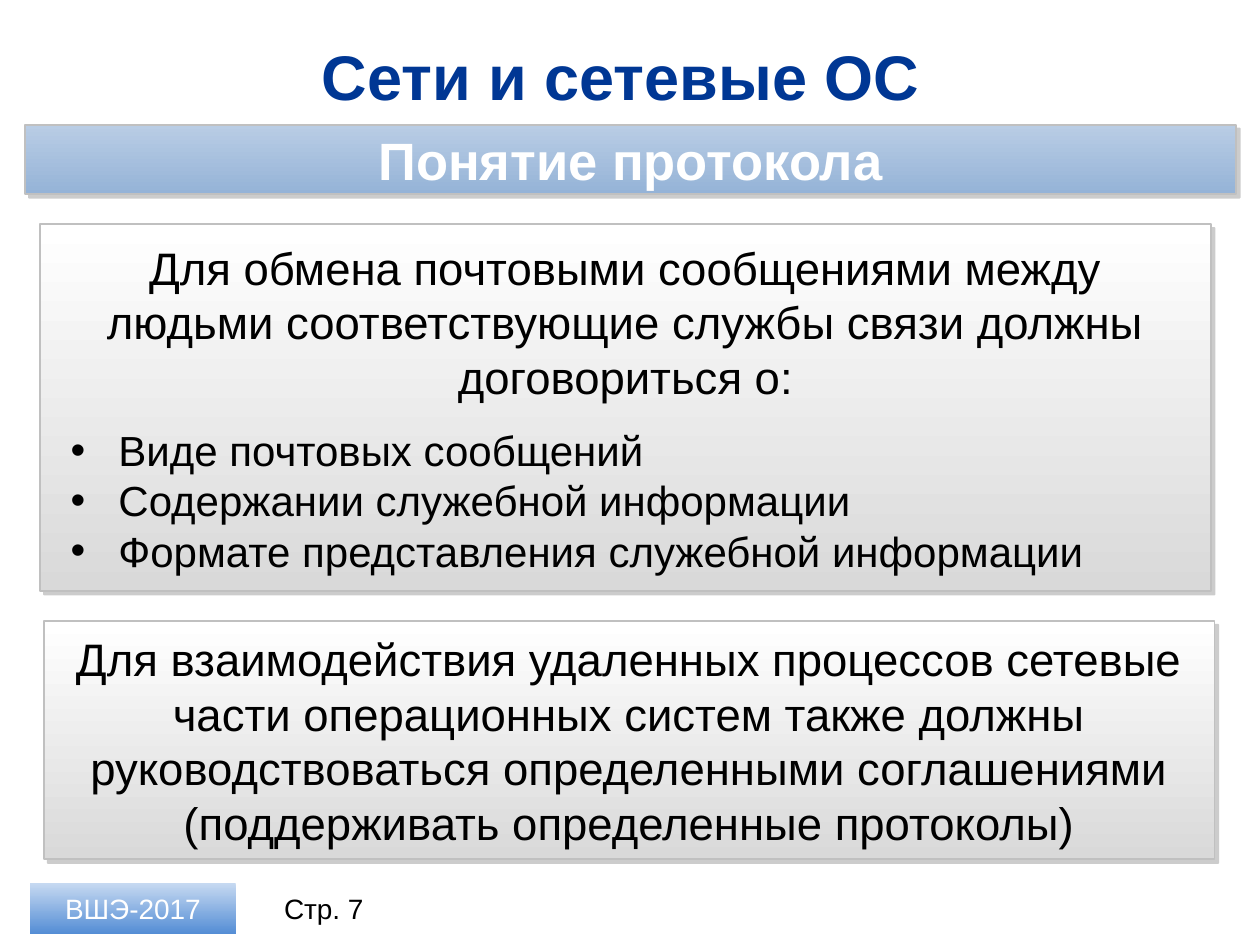
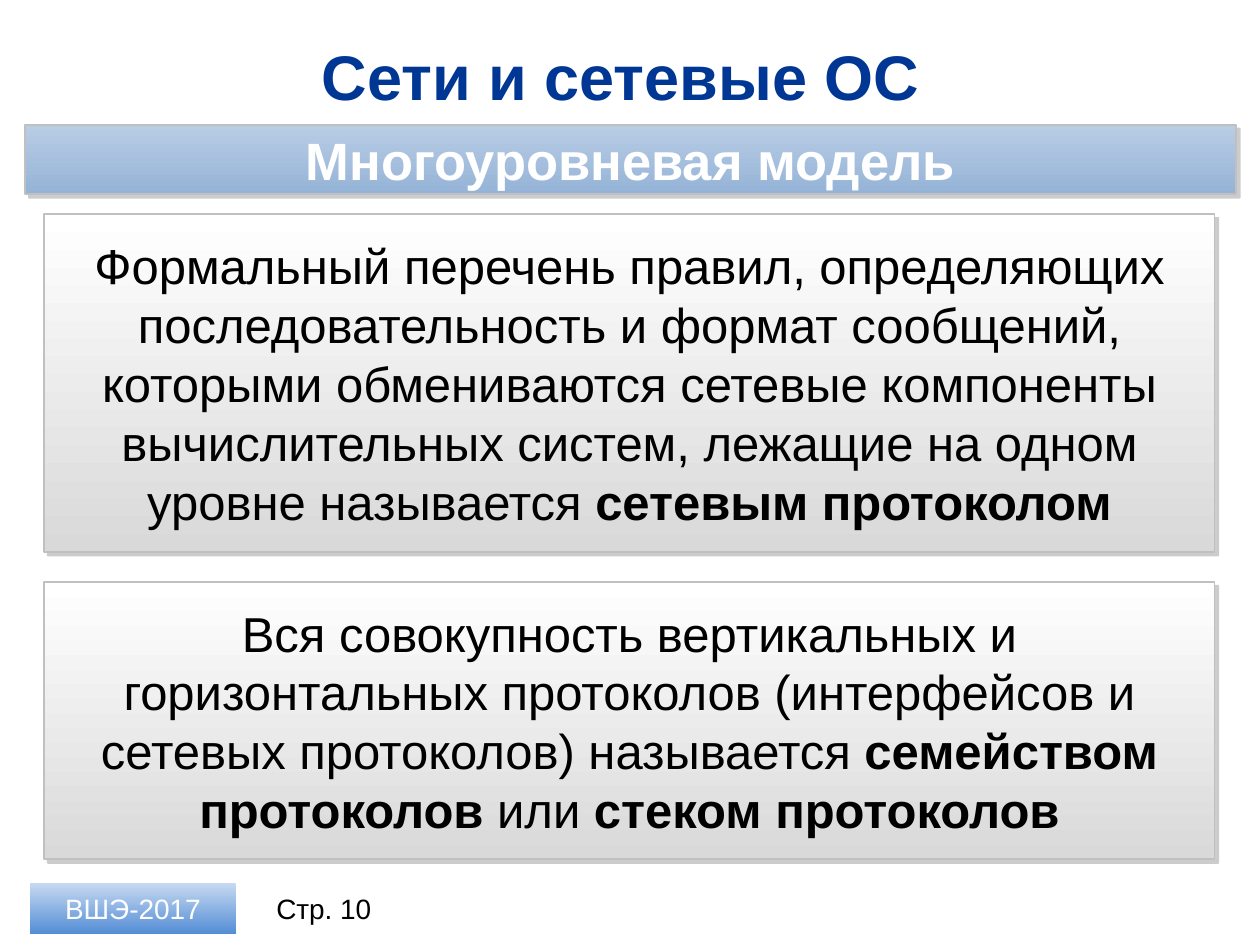
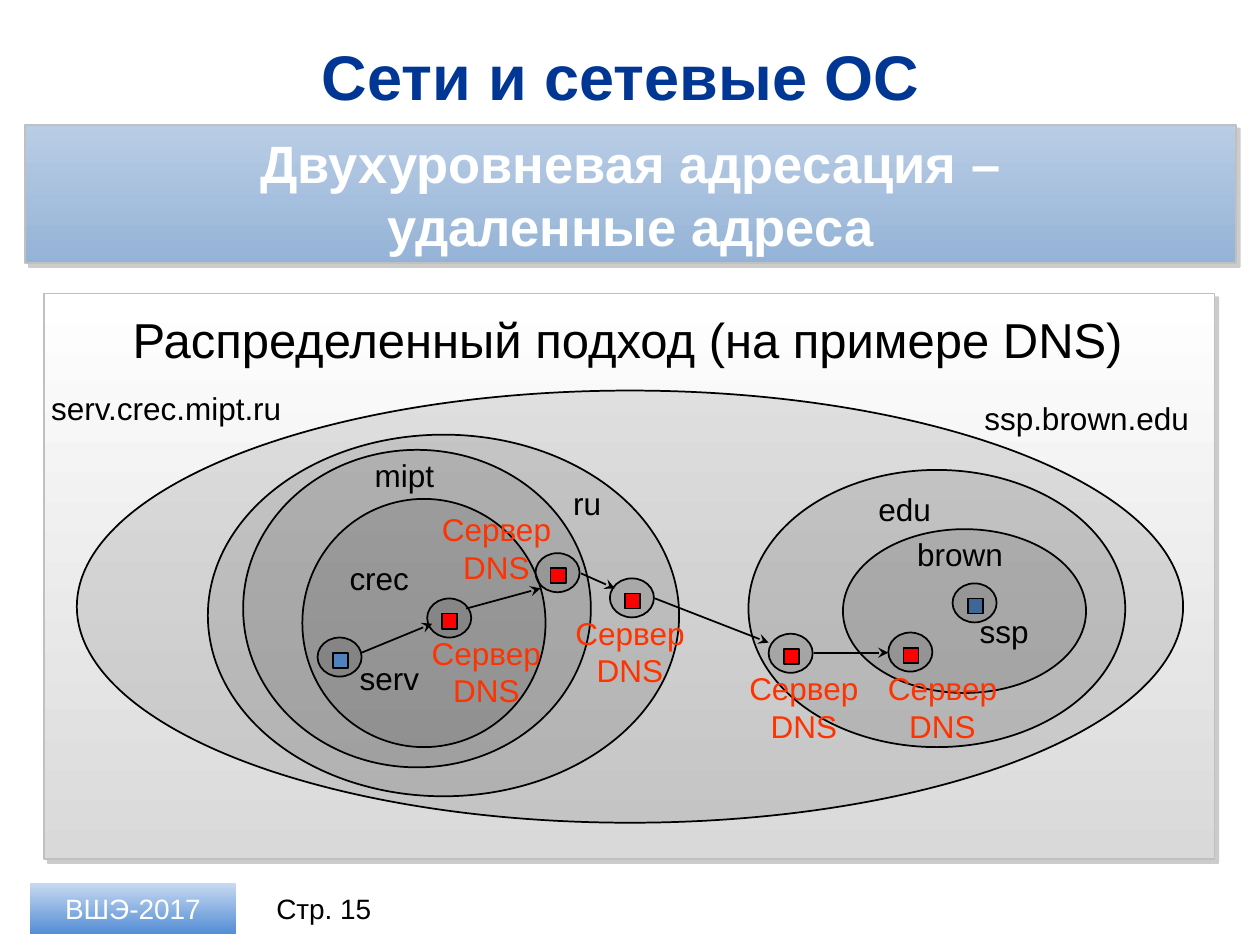
import pptx
import pptx.dml.color
import pptx.enum.shapes
import pptx.enum.text
import pptx.oxml.ns
import pptx.util
from lxml import etree

Inches = pptx.util.Inches
Pt = pptx.util.Pt
RGBColor = pptx.dml.color.RGBColor
Shape = pptx.enum.shapes.MSO_SHAPE
Align = pptx.enum.text.PP_ALIGN
Anchor = pptx.enum.text.MSO_ANCHOR
qn = pptx.oxml.ns.qn

WHITE = RGBColor(0xFF, 0xFF, 0xFF)
BLACK = RGBColor(0x00, 0x00, 0x00)
NAVY = RGBColor(0x00, 0x37, 0x94)
GREY = RGBColor(0xD9, 0xD9, 0xD9)
EDGE = RGBColor(0xC0, 0xC0, 0xC0)
SHADOW = RGBColor(0x80, 0x80, 0x80)
BAND_TOP = RGBColor(0xB9, 0xCD, 0xE5)
BAND_BOTTOM = RGBColor(0x95, 0xB3, 0xD7)
FOOTER_TOP = RGBColor(0xC6, 0xD9, 0xF1)
FOOTER_BOTTOM = RGBColor(0x55, 0x8E, 0xD5)
HOST_BLUE = RGBColor(0x4F, 0x81, 0xBD)
SERVER_RED = RGBColor(0xFF, 0x00, 0x00)
LABEL_RED = RGBColor(0xFF, 0x33, 0x00)

FONT = "Arial"
COURSE = "Сети и сетевые ОС "
ISSUER = "ВШЭ-2017"
PANEL_LEFT, PANEL_WIDTH = 0.35, 9.29

# Positions inside the address map, measured from its top left corner
LEFT_DOMAINS = [(2.05, 1.63, 1.93, 1.97), (1.58, 1.24, 2.76, 2.52),
                (1.3, 1.12, 3.74, 2.87), (0.26, 0.77, 8.78, 3.43)]
RIGHT_DOMAINS = [(6.34, 1.87, 1.93, 1.3), (5.59, 1.4, 2.99, 2.2)]
SERV_HOST, SSP_HOST = (2.17, 2.73), (7.21, 2.3)
DNS_SERVERS = [(3.04, 2.42), (3.9, 2.06), (4.49, 2.26), (5.75, 2.7), (6.7, 2.69)]
DNS_LABELS = [(2.76, 2.65), (2.84, 1.67), (3.9, 2.49), (5.28, 2.93), (6.38, 2.93)]
NAMES = [("serv", 2.25, 2.85, 0.98), ("crec", 2.17, 2.06, 0.98),
         ("mipt", 2.37, 1.24, 0.98), ("ru", 3.82, 1.46, 0.98),
         ("serv.crec.mipt.ru", -0.35, 0.71, 2.64), ("ssp", 7.09, 2.48, 1.06),
         ("brown", 6.78, 1.87, 0.98), ("edu", 6.3, 1.51, 1.06),
         ("ssp.brown.edu", 7.29, 0.79, 1.97)]
QUERY_STEPS = [(2.52, 2.85, 3.08, 2.62), (3.35, 2.5, 3.94, 2.34),
               (4.26, 2.22, 4.53, 2.34), (4.85, 2.42, 5.75, 2.77),
               (6.11, 2.85, 6.7, 2.85)]


def inches(box):
    return [Inches(length) for length in box]


def write(paragraph, pieces, size, color, align=Align.CENTER):
    """Add (text, bold) pieces as runs; a newline piece breaks the line."""
    paragraph.alignment = align
    for text, bold in pieces:
        if text == "\n":
            paragraph.add_line_break()
            continue
        run = paragraph.add_run()
        run.text = text
        run.font.name = FONT
        run.font.size = Pt(size)
        run.font.bold = bold
        run.font.color.rgb = color


def add_label(slide, box, text, size, color=BLACK, bold=False, anchor=Anchor.TOP):
    frame = slide.shapes.add_textbox(*inches(box)).text_frame
    frame.word_wrap = True
    frame.vertical_anchor = anchor
    write(frame.paragraphs[0], [(text, bold)], size, color)


def add_gradient_box(slide, box, top_color, bottom_color):
    block = slide.shapes.add_shape(Shape.RECTANGLE, *inches(box))
    block.shadow.inherit = False
    block.fill.gradient()
    block.fill.gradient_angle = 270
    for stop, color in zip(block.fill.gradient_stops, (top_color, bottom_color)):
        stop.color.rgb = color
    block.line.fill.background()
    block.text_frame.word_wrap = True
    block.text_frame.vertical_anchor = Anchor.MIDDLE
    return block


def add_raised_box(slide, box, top_color, bottom_color):
    """Gradient box with a grey edge, a hard shadow and wide side margins."""
    block = add_gradient_box(slide, box, top_color, bottom_color)
    block.line.color.rgb = EDGE
    block.line.width = Pt(1)
    effects = block._element.spPr.find(qn("a:effectLst"))
    shadow = etree.SubElement(effects, qn("a:outerShdw"), blurRad="0", dist=str(Pt(3)),
                              dir="2700000", algn="tl", rotWithShape="0")
    shade = etree.SubElement(shadow, qn("a:srgbClr"), val=str(SHADOW))
    etree.SubElement(shade, qn("a:alpha"), val="40000")
    frame = block.text_frame
    frame.margin_left = frame.margin_right = Inches(0.24)
    frame.margin_top = frame.margin_bottom = Inches(0.04)
    return frame


def add_panel(slide, top, height, left=PANEL_LEFT):
    return add_raised_box(slide, (left, top, PANEL_WIDTH, height), WHITE, GREY)


def add_statement(slide, top, height, pieces, size):
    write(add_panel(slide, top, height).paragraphs[0], pieces, size, BLACK)


def add_bullet(frame, text, size):
    paragraph = frame.add_paragraph()
    properties = paragraph._p.get_or_add_pPr()
    properties.set("marL", str(Inches(0.38)))
    properties.set("indent", str(Inches(-0.38)))
    bullet_color = etree.SubElement(properties, qn("a:buClr"))
    etree.SubElement(bullet_color, qn("a:srgbClr"), val=str(BLACK))
    etree.SubElement(properties, qn("a:buFont"), typeface=FONT)
    etree.SubElement(properties, qn("a:buChar"), char="•")
    write(paragraph, [(text, False)], size, BLACK, Align.LEFT)
    return paragraph


def add_course_slide(deck, topic_lines, page, band_height=0.55):
    """Blank slide with the course title, topic band and footer."""
    slide = deck.slides.add_slide(deck.slide_layouts[6])
    add_label(slide, (0.35, 0.26, 9.29, 0.68), COURSE, 36, NAVY, True, Anchor.MIDDLE)

    topic = add_raised_box(slide, (0.2, 0.99, 9.61, band_height), BAND_TOP, BAND_BOTTOM)
    pieces = []
    for line in topic_lines:
        if pieces:
            pieces.append(("\n", True))
        pieces.append((line, True))
    write(topic.paragraphs[0], pieces, 30, WHITE)

    issuer = add_gradient_box(slide, (0.24, 7.01, 1.63, 0.4), FOOTER_TOP, FOOTER_BOTTOM)
    write(issuer.text_frame.paragraphs[0], [(ISSUER, False)], 16, WHITE)
    add_label(slide, (2.03, 7.01, 1.08, 0.4), f"Стр. {page}", 16, anchor=Anchor.MIDDLE)
    return slide


def add_outlined(slide, preset, box, color):
    figure = slide.shapes.add_shape(preset, *inches(box))
    figure.shadow.inherit = False
    figure.fill.solid()
    figure.fill.fore_color.rgb = color
    figure.line.color.rgb = BLACK
    figure.line.width = Pt(1)
    return figure


def add_domain(slide, box):
    """Ellipse with a faint black tint, so nested domains grow darker."""
    domain = add_outlined(slide, Shape.OVAL, box, BLACK)
    tint = domain._element.spPr.find(qn("a:solidFill"))[0]
    etree.SubElement(tint, qn("a:alpha"), val="10000")


def add_host(slide, left, top, color):
    add_domain(slide, (left, top, 0.35, 0.31))
    add_outlined(slide, Shape.RECTANGLE, (left + 0.12, top + 0.12, 0.12, 0.12), color)


def add_query_arrow(slide, ends):
    arrow = slide.shapes.add_connector(pptx.enum.shapes.MSO_CONNECTOR.STRAIGHT, *inches(ends))
    arrow.line.color.rgb = BLACK
    arrow.line.width = Pt(1)
    etree.SubElement(arrow.line._get_or_add_ln(), qn("a:tailEnd"), type="stealth")
    etree.SubElement(arrow._element.spPr, qn("a:effectLst"))


def add_address_map(slide, left, top):
    def place(x, y, *size):
        return (left + x, top + y, *size)

    add_label(slide, place(0.08, 0.08, 9.1, 0.57),
              "Распределенный подход (на примере DNS)", 28)
    for domain in LEFT_DOMAINS:
        add_domain(slide, place(*domain))
    add_host(slide, *place(*SERV_HOST), HOST_BLUE)
    add_host(slide, *place(*SSP_HOST), HOST_BLUE)
    for domain in RIGHT_DOMAINS:
        add_domain(slide, place(*domain))
    for server in DNS_SERVERS:
        add_host(slide, *place(*server), SERVER_RED)
    for name, x, y, width in NAMES:
        add_label(slide, place(x, y, width, 0.4), name, 18)
    for x, y in DNS_LABELS:
        add_label(slide, place(x, y, 1.5, 0.71), "Сервер DNS", 18, LABEL_RED)
    for x1, y1, x2, y2 in QUERY_STEPS:
        add_query_arrow(slide, place(x1, y1) + place(x2, y2))


def build_protocol_slide(deck):
    slide = add_course_slide(deck, ["Понятие протокола"], 7)
    agreement = add_panel(slide, 1.78, 2.91, left=0.32)
    write(agreement.paragraphs[0],
          [("Для обмена почтовыми сообщениями между людьми соответствующие "
            "службы связи должны договориться о:", False)], 26, BLACK)
    subjects = [add_bullet(agreement, text, 24) for text in (
        "Виде почтовых сообщений",
        "Содержании служебной информации",
        "Формате представления служебной информации")]
    subjects[0].space_before = Pt(12)
    add_statement(slide, 4.93, 1.89, [
        ("Для взаимодействия удаленных процессов сетевые части операционных "
         "систем также должны руководствоваться определенными соглашениями "
         "(поддерживать определенные протоколы)", False)], 26)


def build_model_slide(deck):
    slide = add_course_slide(deck, ["Многоуровневая модель"], 10)
    add_statement(slide, 1.7, 2.68, [
        ("Формальный перечень правил, определяющих последовательность и формат "
         "сообщений, которыми обмениваются сетевые компоненты вычислительных "
         "систем, лежащие на одном уровне называется ", False),
        ("сетевым протоколом", True)], 28)
    add_statement(slide, 4.62, 2.2, [
        ("Вся совокупность вертикальных и горизонтальных протоколов "
         "(интерфейсов и сетевых протоколов) называется ", False),
        ("семейством протоколов", True),
        (" или ", False),
        ("стеком протоколов", True)], 28)


def build_addressing_slide(deck):
    slide = add_course_slide(
        deck, ["Двухуровневая адресация –", "удаленные адреса"], 15, band_height=1.1)
    map_top = 2.33
    add_panel(slide, map_top, 4.49)
    add_address_map(slide, PANEL_LEFT, map_top)


def main():
    deck = pptx.Presentation()
    deck.slide_width = Inches(10)
    deck.slide_height = Inches(7.5)
    build_protocol_slide(deck)
    build_model_slide(deck)
    build_addressing_slide(deck)
    deck.save("out.pptx")


if __name__ == "__main__":
    main()
